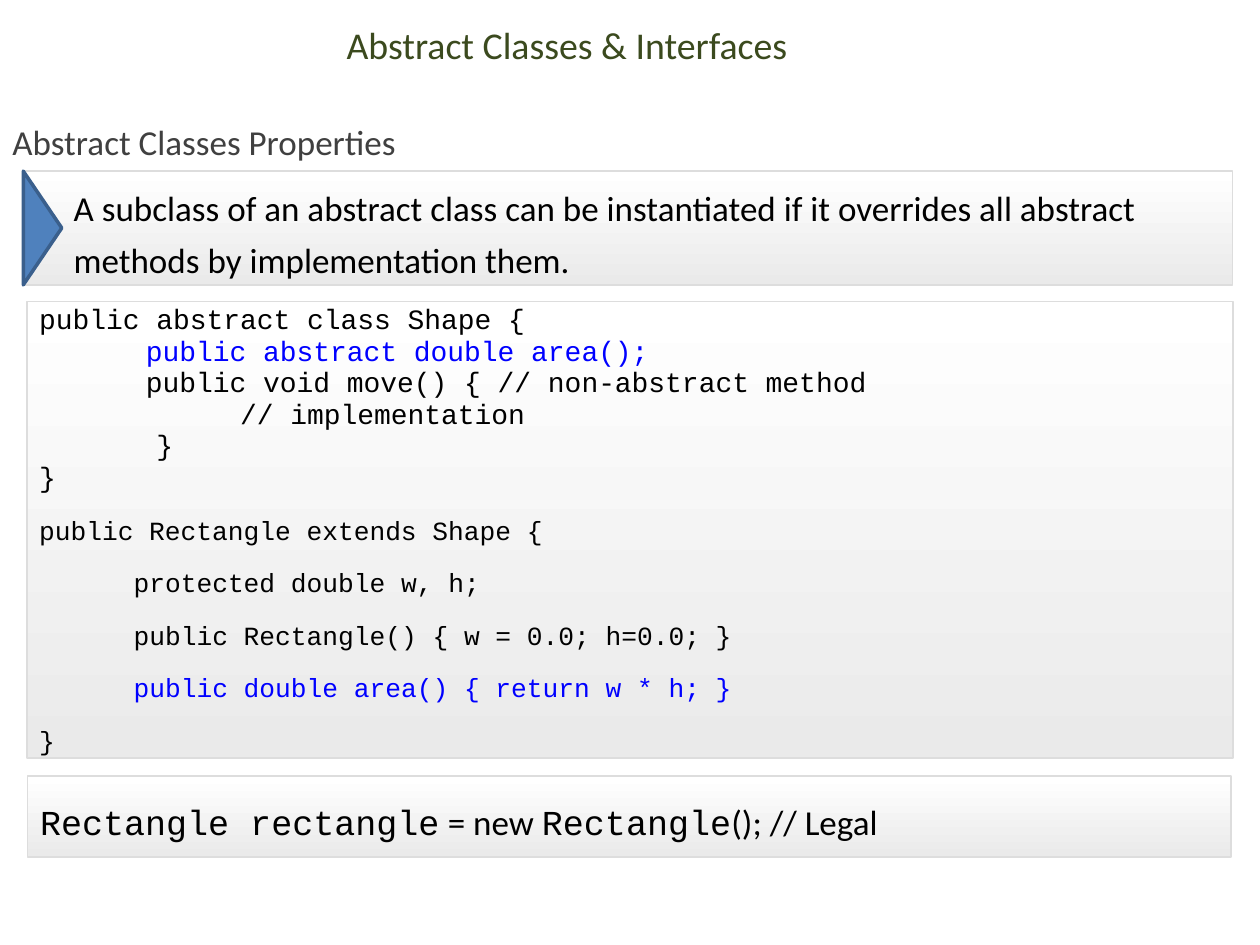
from pptx import Presentation
from pptx.dml.color import RGBColor
from pptx.enum.shapes import MSO_SHAPE
from pptx.enum.text import MSO_ANCHOR, MSO_AUTO_SIZE, PP_ALIGN
from pptx.oxml.ns import qn
from pptx.util import Pt
from lxml import etree

RECTANGLE, TRIANGLE = MSO_SHAPE.RECTANGLE, MSO_SHAPE.ISOSCELES_TRIANGLE
MIDDLE, GROW, NO_FIT = MSO_ANCHOR.MIDDLE, MSO_AUTO_SIZE.SHAPE_TO_FIT_TEXT, MSO_AUTO_SIZE.NONE
LEFT, CENTER, JUSTIFY = PP_ALIGN.LEFT, PP_ALIGN.CENTER, PP_ALIGN.JUSTIFY

OLIVE = RGBColor(0x3B, 0x4A, 0x1E)
GRAY = RGBColor(0x40, 0x40, 0x40)
BLACK = RGBColor(0, 0, 0)
CODE_BLUE = RGBColor(0, 0, 0xFF)
WHITE = RGBColor(0xFF, 0xFF, 0xFF)
PANEL_SHADE = RGBColor(0xEA, 0xEA, 0xEA)
PANEL_EDGE = RGBColor(0xDD, 0xDD, 0xDD)
MARKER_FILL = RGBColor(0x4F, 0x81, 0xBD)
MARKER_EDGE = RGBColor(0x3A, 0x5F, 0x8C)

SANS, MONO = "Calibri", "Courier New"
WIDE_TABS = [54 + 72 * i for i in range(8)]
CODE_TABS = [22.75]
INSET = 7.2

# Each code line is its indent, its text and its colour
SHAPE_CLASS = [
    ("", "public abstract class Shape {", BLACK),
    ("\t    ", "public abstract double area();", CODE_BLUE),
    ("\t    ", "public void move() { // non-abstract method", BLACK),
    ("            ", "// implementation", BLACK),
    ("       ", "}", BLACK),
    ("", "}", BLACK),
]
RECTANGLE_CLASS = [
    ("", "public Rectangle extends Shape {", BLACK),
    ("\t", "protected double w, h;", BLACK),
    ("\t", "public Rectangle() { w = 0.0; h=0.0; }", BLACK),
    ("\t", "public double area() { return w * h; }", CODE_BLUE),
    ("", "}", BLACK),
]


def set_all(target, values):
    for name, value in values.items():
        setattr(target, name, value)


def set_tabs(paragraph, stops):
    tab_list = etree.SubElement(paragraph._p.get_or_add_pPr(), qn("a:tabLst"))
    for stop in stops:
        etree.SubElement(tab_list, qn("a:tab"), pos=str(int(Pt(stop))), algn="l")


def write_line(paragraph, runs, spacing=None, tabs=(), align=LEFT):
    """Write runs of (text, font, size, colour) into one paragraph."""
    set_all(paragraph, {"alignment": align, "line_spacing": spacing,
                        "space_before": Pt(0), "space_after": Pt(0)})
    if tabs:
        set_tabs(paragraph, tabs)
    for text, font, size, color in runs:
        run = paragraph.add_run()
        run.text = text
        set_all(run.font, {"name": font, "size": Pt(size)})
        run.font.color.rgb = color


def add_panel(shapes, box, left_inset=INSET):
    """Add a shaded panel and return its text frame."""
    panel = shapes.add_shape(RECTANGLE, *map(Pt, box))
    panel.shadow.inherit = False
    panel.fill.gradient()
    panel.fill.gradient_angle = 270
    for stop, color in zip(panel.fill.gradient_stops, (WHITE, PANEL_SHADE)):
        stop.color.rgb = color
    panel.line.color.rgb = PANEL_EDGE
    panel.line.width = Pt(1)
    frame = panel.text_frame
    set_all(frame, {"word_wrap": True, "vertical_anchor": MIDDLE,
                    "margin_left": Pt(left_inset), "margin_right": Pt(INSET),
                    "margin_top": Pt(INSET), "margin_bottom": Pt(INSET)})
    return frame


def add_title(slide, box):
    title = slide.shapes.title
    set_all(title, dict(zip(("left", "top", "width", "height"), map(Pt, box))))
    set_all(title.text_frame, {"word_wrap": True, "vertical_anchor": MIDDLE,
                               "auto_size": NO_FIT})
    write_line(title.text_frame.paragraphs[0],
               [("Abstract Classes & Interfaces", SANS, 21.6, OLIVE)], align=CENTER)


def add_heading(slide, box):
    frame = slide.shapes.add_textbox(*map(Pt, box)).text_frame
    set_all(frame, {"word_wrap": True, "auto_size": GROW})
    write_line(frame.paragraphs[0],
               [("Abstract Classes Properties", SANS, 20, GRAY)], spacing=1.5)


def add_rule(slide, box):
    group = slide.shapes.add_group_shape()
    frame = add_panel(group.shapes, box, left_inset=28.8)
    rule = ("A subclass of an abstract class can be instantiated if it overrides "
            "all abstract methods by implementation them.")
    write_line(frame.paragraphs[0], [(rule, SANS, 20, BLACK)], Pt(30), WIDE_TABS)

    # Marker turned to point right, as tall as the panel
    left, top, _, height = box
    depth = 22
    marker = group.shapes.add_shape(
        TRIANGLE, Pt(left + (depth - height) / 2), Pt(top + (height - depth) / 2),
        Pt(height), Pt(depth))
    marker.rotation = 90
    marker.shadow.inherit = False
    marker.fill.solid()
    marker.fill.fore_color.rgb = MARKER_FILL
    marker.line.color.rgb = MARKER_EDGE
    marker.line.width = Pt(2)


def add_code(slide, box):
    frame = add_panel(slide.shapes, box)
    paragraph = frame.paragraphs[0]
    for lines, size, spacing, tabs in ((SHAPE_CLASS, 16, 18, CODE_TABS),
                                       (RECTANGLE_CLASS, 15, 30, WIDE_TABS)):
        for indent, text, color in lines:
            if paragraph.runs:
                paragraph = frame.add_paragraph()
            write_line(paragraph, [(indent + text, MONO, size, color)],
                       Pt(spacing), tabs)


def add_usage(slide, box):
    frame = add_panel(slide.shapes, box)
    parts = (("Rectangle rectangle", MONO), (" = new ", SANS),
             ("Rectangle", MONO), ("(); // Legal", SANS))
    write_line(frame.paragraphs[0], [(text, font, 20, BLACK) for text, font in parts],
               Pt(30), WIDE_TABS, JUSTIFY)


def main():
    deck = Presentation()
    deck.slide_width, deck.slide_height = Pt(720), Pt(540)
    slide = deck.slides.add_slide(deck.slide_layouts[5])
    add_title(slide, (0, 10, 648, 31))
    add_heading(slide, (0, 53.3, 703, 39))
    add_rule(slide, (13.3, 97.8, 691, 65))
    add_code(slide, (15.3, 172.3, 689.5, 260.7))
    add_usage(slide, (15.8, 443.6, 687.6, 46))
    deck.save("out.pptx")


if __name__ == "__main__":
    main()
